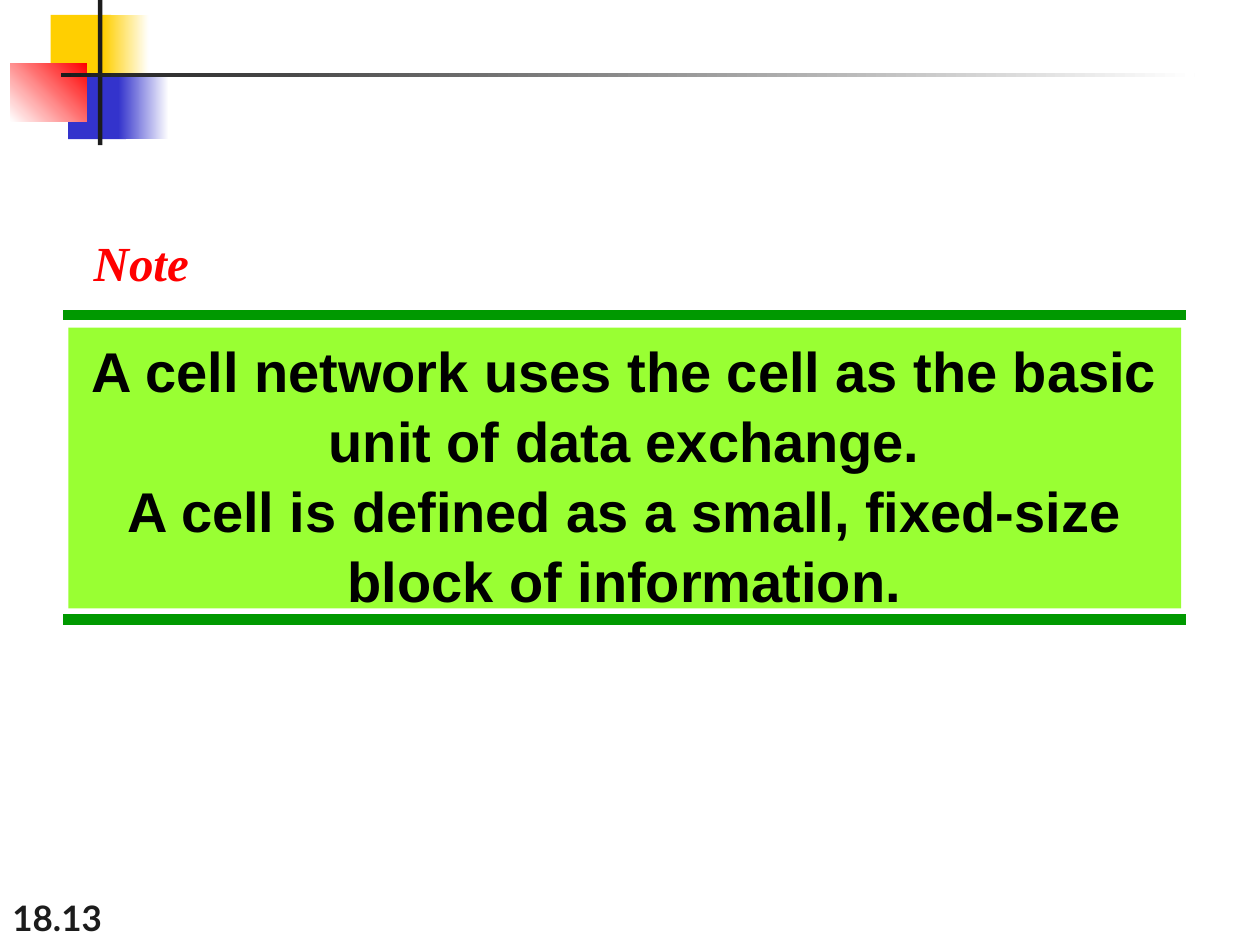
"""Build the note slide that defines a cell network."""
from dataclasses import dataclass
from typing import Optional

import pptx
import pptx.dml.color
import pptx.enum.shapes
import pptx.enum.text
import pptx.oxml
import pptx.util

Pt = pptx.util.Pt
Color = pptx.dml.color.RGBColor.from_string
Align = pptx.enum.text.PP_ALIGN
Anchor = pptx.enum.text.MSO_ANCHOR


@dataclass(frozen=True)
class Theme:
    ink: str = "1C1C1C"
    black: str = "000000"
    white: str = "FFFFFF"
    yellow: str = "FFCF01"
    blue: str = "3333CC"
    red: str = "FF0000"
    rule: str = "009900"
    panel: str = "99FF33"
    number_size: float = 20
    note_size: float = 28
    body_size: float = 32
    rule_width: float = 6


@dataclass(frozen=True)
class Block:
    left: float
    top: float
    width: float
    height: float
    color: str
    fade_to: Optional[str] = None
    angle: float = 0


THEME = Theme()
ORNAMENT = (
    Block(29, 8.5, 34.5, 37.5, THEME.yellow),
    Block(59, 8.5, 26, 37.5, THEME.yellow, THEME.white),
    Block(39, 42, 33, 37.5, THEME.blue),
    Block(67.5, 42, 29, 37.5, THEME.blue, THEME.white),
    Block(5.75, 36, 44, 33.25, THEME.white, THEME.red, 45),
    Block(56, 0, 2.5, 83, THEME.ink),
    Block(34.75, 41.75, 648, 2.5, THEME.ink, THEME.white),
)
PANEL = Block(39, 187.25, 636, 160.5, THEME.panel)
RULE_LEFT, RULE_RIGHT = 36, 678
RULE_TOPS = (180, 354)
STATEMENTS = (
    "A cell network uses the cell as the basic unit of data exchange.",
    "A cell is defined as a small, fixed-size block of information.",
)


def add_block(page, block: Block):
    """Draw a borderless rectangle with a plain or fading fill."""
    shape = page.shapes.add_shape(
        pptx.enum.shapes.MSO_SHAPE.RECTANGLE,
        Pt(block.left), Pt(block.top), Pt(block.width), Pt(block.height))
    shape.shadow.inherit = False
    shape.line.fill.background()
    if block.fade_to is None:
        shape.fill.solid()
        shape.fill.fore_color.rgb = Color(block.color)
    else:
        shape.fill.gradient()
        shape.fill.gradient_angle = block.angle
        for stop, color in zip(shape.fill.gradient_stops, (block.color, block.fade_to)):
            stop.color.rgb = Color(color)
    return shape


def add_rule(page, top: float) -> None:
    """Draw a thick horizontal line across the panel width."""
    rule = page.shapes.add_connector(
        pptx.enum.shapes.MSO_CONNECTOR.STRAIGHT,
        Pt(RULE_LEFT), Pt(top), Pt(RULE_RIGHT), Pt(top))
    rule.line.color.rgb = Color(THEME.rule)
    rule.line.width = Pt(THEME.rule_width)
    pptx.oxml.xmlchemy.OxmlElement
    rule._element.spPr.append(pptx.oxml.parse_xml(
        '<a:effectLst xmlns:a="http://schemas.openxmlformats.org/drawingml/2006/main"/>'))


def write_text(box, *lines: str, font: str, size: float, color: str,
               bold: bool = True, italic: bool = False, align=Align.LEFT,
               anchor=Anchor.TOP, wrap: bool = True, spacing: float = 1) -> None:
    """Fill a box with one formatted paragraph per line."""
    frame = box.text_frame
    frame.word_wrap = wrap
    frame.vertical_anchor = anchor
    for index, line in enumerate(lines):
        para = frame.add_paragraph() if index else frame.paragraphs[0]
        para.alignment = align
        para.line_spacing = spacing
        span = para.add_run()
        span.text = line
        span.font.name = font
        span.font.size = Pt(size)
        span.font.bold = bold
        span.font.italic = italic
        span.font.color.rgb = Color(color)


def main() -> None:
    """Assemble the deck and save it."""
    deck = pptx.Presentation()
    deck.slide_width, deck.slide_height = Pt(720), Pt(540)
    page = deck.slides.add_slide(deck.slide_layouts.get_by_name("Blank"))

    number = page.shapes.add_textbox(Pt(0), Pt(504), Pt(150), Pt(36))
    write_text(number, "18.13", font="Lato", size=THEME.number_size,
               color=THEME.ink, anchor=Anchor.BOTTOM)
    for block in ORNAMENT:
        add_block(page, block)
    for top in RULE_TOPS:
        add_rule(page, top)
    write_text(add_block(page, PANEL), *STATEMENTS, font="Arial",
               size=THEME.body_size, color=THEME.black, align=Align.CENTER,
               spacing=1.04)
    note = page.shapes.add_textbox(Pt(46.5), Pt(129.5), Pt(69), Pt(41))
    write_text(note, "Note", font="Times New Roman", size=THEME.note_size,
               color=THEME.red, italic=True, wrap=False)
    deck.save("out.pptx")


if __name__ == "__main__":
    main()
